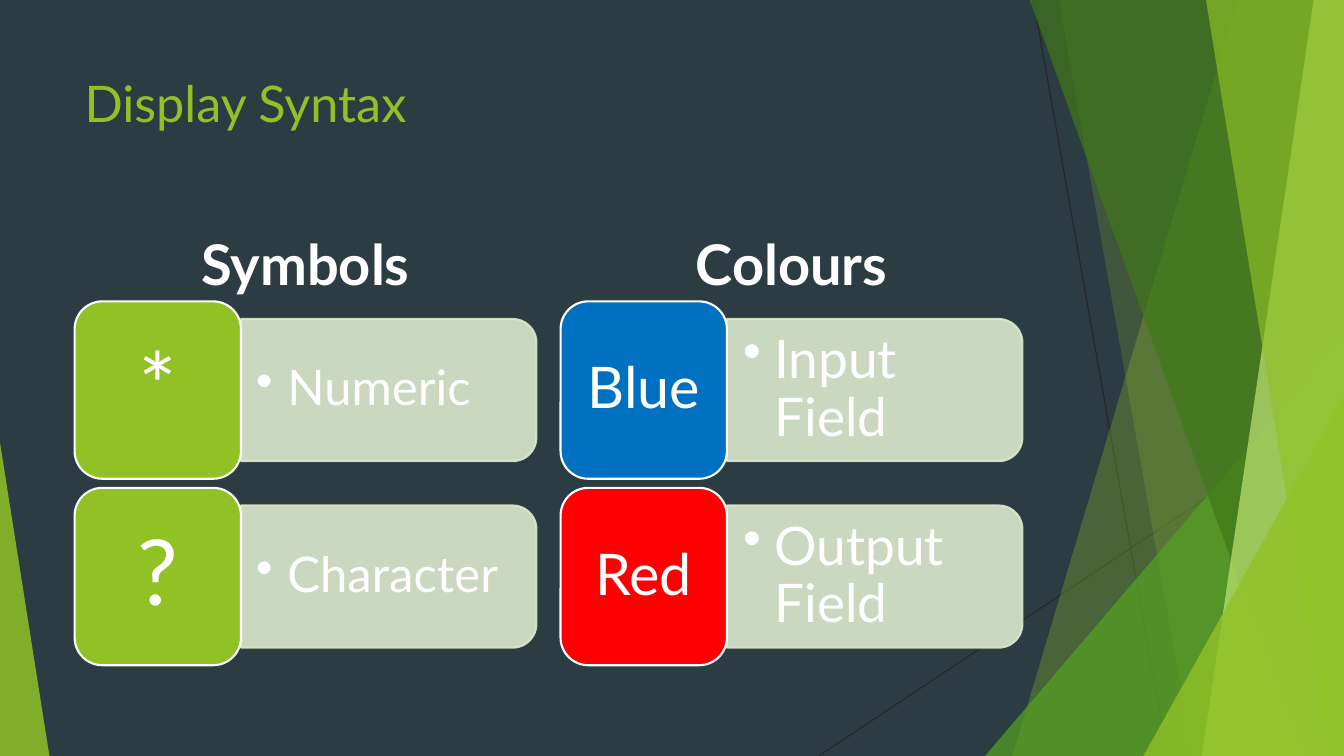
from dataclasses import dataclass

import pptx
import pptx.dml.color
import pptx.enum.shapes
import pptx.enum.text
import pptx.oxml.ns
import pptx.util
from lxml import etree

RGBColor = pptx.dml.color.RGBColor
MSO_SHAPE = pptx.enum.shapes.MSO_SHAPE
ANCHOR = pptx.enum.text.MSO_ANCHOR
ALIGN = pptx.enum.text.PP_ALIGN
qn = pptx.oxml.ns.qn

SCALE = 9144  # EMU per px, 100 px to the inch
SLIDE_WIDTH, SLIDE_HEIGHT = 1333, 750
FONT = "Lato"

BACKGROUND = RGBColor(0x2C, 0x3C, 0x43)
WHITE = RGBColor(0xFF, 0xFF, 0xFF)
LIME = RGBColor(0x90, 0xC2, 0x26)
GREEN = RGBColor(0x54, 0xA0, 0x21)
DARK_GREEN = RGBColor(0x3F, 0x78, 0x19)
PALE_LIME = RGBColor(0xC0, 0xE4, 0x74)
PALE_GREEN = RGBColor(0xDB, 0xE9, 0xCD)
BLUE = RGBColor(0x00, 0x70, 0xC0)
RED = RGBColor(0xFF, 0x00, 0x00)
HAIRLINE = RGBColor(0x26, 0x26, 0x26)


@dataclass
class Ribbon:
    """A facet running from the slide's top to its bottom along the right edge."""
    top_left: int
    bottom_left: int
    color: RGBColor
    opacity: int


@dataclass
class Wedge:
    """A triangle standing on the slide's bottom edge."""
    left: int
    top: int
    width: int
    apex: float
    color: RGBColor
    opacity: int


@dataclass
class Entry:
    label: str
    meaning: str
    color: RGBColor


@dataclass
class Column:
    left: int
    heading: str
    label_size: int
    label_insets: tuple[int, int]
    meaning_size: int
    meaning_insets: tuple[int, int]
    entries: list[Entry]


FACETS = [
    Ribbon(1228, 1004, LIME, 30),
    Ribbon(1050, 1183, LIME, 20),
    Wedge(977, 333, 356, 1, GREEN, 72),
    Ribbon(1021, 1291, DARK_GREEN, 70),
    Ribbon(1303, 1192, PALE_LIME, 70),
    Ribbon(1196, 1318, LIME, 65),
    Wedge(1134, 393, 199, 1, LIME, 80),
    Wedge(0, 439, 49, 0, LIME, 85),
]
COLUMNS = [
    Column(74, "Symbols", 65, (27, 14), 35, (15, 7),
           [Entry("*", "Numeric", LIME), Entry("?", "Character", LIME)]),
    Column(556, "Colours", 41, (17, 9), 38, (16, 8),
           [Entry("Blue", "Input Field", BLUE), Entry("Red", "Output Field", RED)]),
]

HEADING_TOP, COLUMN_WIDTH, HEADING_HEIGHT = 236, 458, 63
ROW_TOP, ROW_STEP = 299, 185
TILE_WIDTH, TILE_HEIGHT = 165, 176
PILL_WIDTH, PILL_HEIGHT = 293, 141
MEANING_WIDTH, MEANING_HEIGHT = 286, 127


def px(*lengths: float) -> list[pptx.util.Emu]:
    return [pptx.util.Emu(round(length * SCALE)) for length in lengths]


def set_opacity(color_parent, opacity: int) -> None:
    color = color_parent.find(".//" + qn("a:srgbClr"))
    etree.SubElement(color, qn("a:alpha")).set("val", str(opacity * 1000))


def paint(shape, color: RGBColor, opacity: int = 100, outline: RGBColor | None = None) -> None:
    shape.shadow.inherit = False
    shape.fill.solid()
    shape.fill.fore_color.rgb = color
    if outline is None:
        shape.line.fill.background()
    else:
        shape.line.color.rgb = outline
        shape.line.width = pptx.util.Pt(1.5)
    if opacity < 100:
        properties = shape.fill._xPr
        set_opacity(properties.find(qn("a:solidFill")), opacity)
        if outline is not None:
            set_opacity(properties.find(qn("a:ln")), opacity)


def write(shape, text: str, size: int, color: RGBColor = WHITE, bold: bool = False,
          anchor=ANCHOR.MIDDLE, align=ALIGN.CENTER, insets: tuple[int, int] = (10, 5)):
    frame = shape.text_frame
    frame.word_wrap = True
    frame.vertical_anchor = anchor
    frame.margin_left = frame.margin_right = px(insets[0])[0]
    frame.margin_top = frame.margin_bottom = px(insets[1])[0]
    frame.text = text
    paragraph = frame.paragraphs[0]
    paragraph.alignment = align
    font = paragraph.runs[0].font
    font.name, font.size, font.bold = FONT, pptx.util.Pt(size), bold
    font.color.rgb = color
    return paragraph


def add_bullet(paragraph) -> None:
    properties = paragraph._p.get_or_add_pPr()
    indent = px(31)[0]
    properties.set("marL", str(indent))
    properties.set("indent", str(-indent))
    etree.SubElement(properties, qn("a:buChar")).set("char", "•")


def draw_hairline(slide, *ends: int) -> None:
    line = slide.shapes.add_connector(pptx.enum.shapes.MSO_CONNECTOR.STRAIGHT, *px(*ends))
    line.line.color.rgb = HAIRLINE
    line.line.width = pptx.util.Pt(0.75)
    etree.SubElement(line._element.spPr, qn("a:effectLst"))


def draw_facet(slide, facet: Ribbon | Wedge) -> None:
    if isinstance(facet, Ribbon):
        builder = slide.shapes.build_freeform(*px(facet.top_left, -1))
        corners = [(SLIDE_WIDTH, -1), (SLIDE_WIDTH, SLIDE_HEIGHT), (facet.bottom_left, SLIDE_HEIGHT)]
        builder.add_line_segments([px(*corner) for corner in corners], close=True)
        shape = builder.convert_to_shape()
    else:
        shape = slide.shapes.add_shape(
            MSO_SHAPE.ISOSCELES_TRIANGLE,
            *px(facet.left, facet.top, facet.width, SLIDE_HEIGHT - facet.top))
        shape.adjustments[0] = facet.apex
    paint(shape, facet.color, facet.opacity)


def draw_entry(slide, column: Column, entry: Entry, top: int) -> None:
    middle = top + TILE_HEIGHT / 2
    pill_left = column.left + TILE_WIDTH

    # Pill, turned so that its rounded end points right
    pill = slide.shapes.add_shape(
        MSO_SHAPE.ROUND_2_SAME_RECTANGLE,
        *px(pill_left + (PILL_WIDTH - PILL_HEIGHT) / 2, middle - PILL_WIDTH / 2,
            PILL_HEIGHT, PILL_WIDTH))
    pill.rotation = 90
    paint(pill, PALE_GREEN, 90, PALE_GREEN)

    # Meaning
    box = slide.shapes.add_textbox(
        *px(pill_left, middle - MEANING_HEIGHT / 2, MEANING_WIDTH, MEANING_HEIGHT))
    paragraph = write(box, entry.meaning, column.meaning_size,
                      align=ALIGN.LEFT, insets=column.meaning_insets)
    paragraph.level = 1
    paragraph.line_spacing = 0.9
    add_bullet(paragraph)

    # Label tile
    tile = slide.shapes.add_shape(
        MSO_SHAPE.ROUNDED_RECTANGLE, *px(column.left, top, TILE_WIDTH, TILE_HEIGHT))
    paint(tile, entry.color, outline=WHITE)
    label = write(tile, entry.label, column.label_size, insets=column.label_insets)
    label.line_spacing = 0.9


def draw_column(slide, column: Column) -> None:
    heading = slide.shapes.add_textbox(
        *px(column.left, HEADING_TOP, COLUMN_WIDTH, HEADING_HEIGHT))
    paragraph = write(heading, column.heading, 40, bold=True, anchor=ANCHOR.BOTTOM)
    paragraph.space_before = pptx.util.Pt(10)
    for row, entry in enumerate(column.entries):
        draw_entry(slide, column, entry, ROW_TOP + row * ROW_STEP)


def main() -> None:
    presentation = pptx.Presentation()
    presentation.slide_width, presentation.slide_height = px(SLIDE_WIDTH, SLIDE_HEIGHT)
    slide = presentation.slides.add_slide(presentation.slide_layouts[6])
    slide.background.fill.solid()
    slide.background.fill.fore_color.rgb = BACKGROUND

    # Faceted decoration
    draw_hairline(slide, 1025, 0, 1158, SLIDE_HEIGHT)
    draw_hairline(slide, SLIDE_WIDTH, 403, 812, SLIDE_HEIGHT)
    for facet in FACETS:
        draw_facet(slide, facet)

    # Title and the two columns
    title = slide.shapes.add_textbox(*px(74, 67, 940, 144))
    write(title, "Display Syntax", 36, LIME, anchor=ANCHOR.TOP, align=ALIGN.LEFT)
    for column in COLUMNS:
        draw_column(slide, column)

    presentation.save("out.pptx")


if __name__ == "__main__":
    main()
